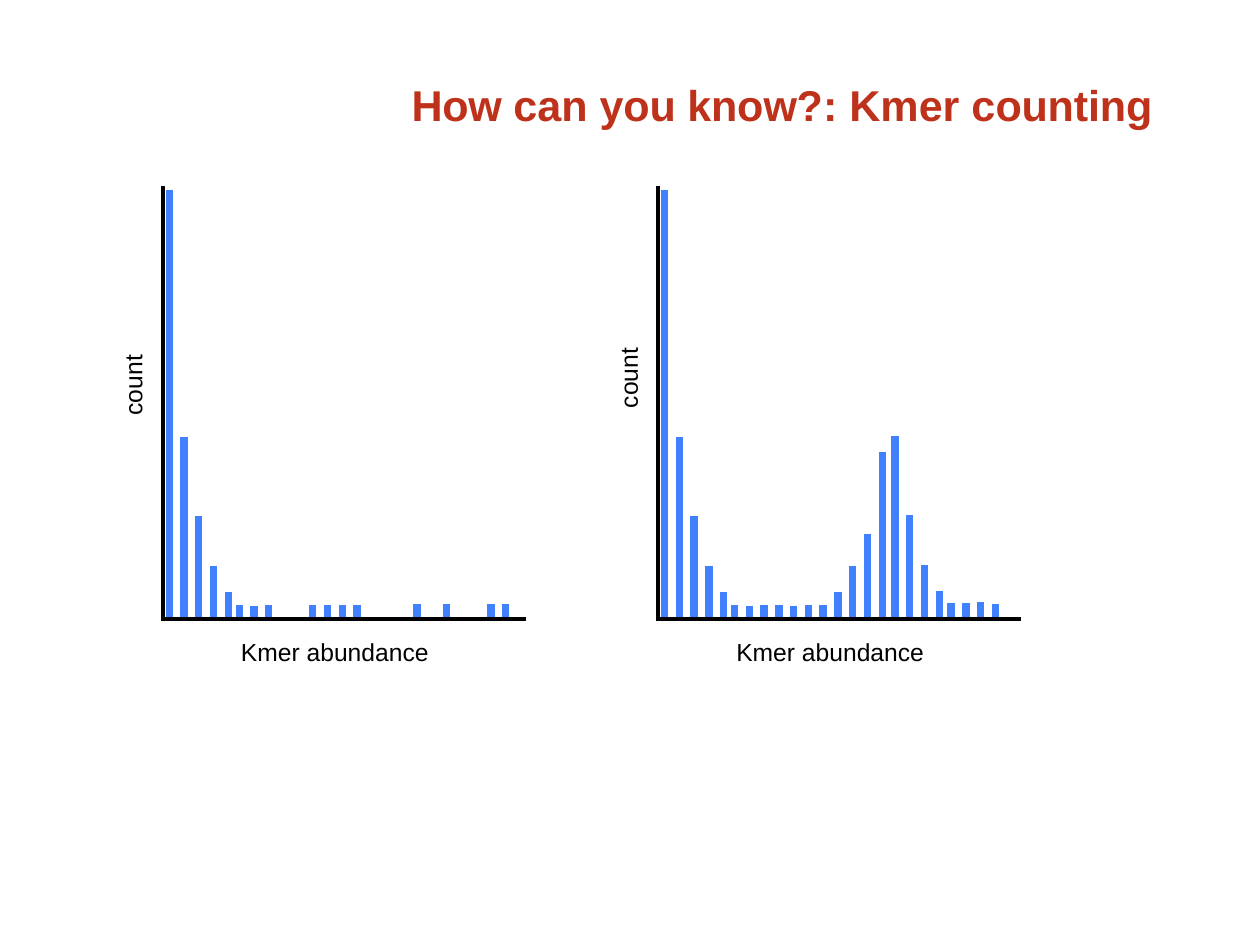
from dataclasses import dataclass

import pptx
import pptx.dml.color
import pptx.enum.shapes
import pptx.enum.text
import pptx.oxml
import pptx.oxml.ns
import pptx.util

CELL = 1 / 6  # inches; one column is the step from bar to bar, rows are as tall
BLUE, BLACK, RED = "4180FF", "000000", "BE311A"
BASE_ROW, TOP_ROW, AXIS_COLUMNS = 41.94, 12.6, 24.58
ALIGN = pptx.enum.text.PP_ALIGN


@dataclass(frozen=True)
class BarRun:
    """Bars one column apart; start counts columns from the vertical axis."""
    start: float
    heights: tuple[float, ...]


@dataclass(frozen=True)
class Histogram:
    axis_column: float
    count_row: float
    runs: tuple[BarRun, ...]


@dataclass(frozen=True)
class Span:
    text: str
    spacing: float = 0


@dataclass(frozen=True)
class Label:
    column: float
    row: float
    columns: float
    rows: float
    spans: tuple[Span, ...]
    size: float = 20
    color: str = BLACK
    bold: bool = False
    align: ALIGN = ALIGN.LEFT
    indent: float = 0.06
    vertical: bool = False


ERROR_SLOPE = BarRun(0.42, (29.1, 12.36, 6.96, 3.6, 1.86))
HISTOGRAMS = (
    Histogram(11.04, 23.94, (
        ERROR_SLOPE,
        BarRun(5.16, (0.96, 0.9, 0.96)),
        BarRun(10.14, (0.96,) * 4),
        BarRun(17.2, (1.02,)),
        BarRun(19.2, (1.02,)),
        BarRun(22.2, (1.02, 1.02)),
    )),
    Histogram(44.58, 23.46, (
        ERROR_SLOPE,
        BarRun(5.16, (0.96, 0.9, 0.96, 0.96, 0.9, 0.96, 0.96)),
        BarRun(12.16, (1.86, 3.6, 5.76, 11.34)),
        BarRun(16.02, (12.42, 7.02, 3.66, 1.92)),
        BarRun(19.83, (1.08, 1.08, 1.14, 1.02)),
    )),
)
TITLE = Label(
    7.14, 5.34, 71.04, 3.06,
    (Span("How ", -0.3), Span("can "), Span("you kno", -0.2), Span("w?", -0.3),
     Span(": Kmer c"), Span("oun", -0.3), Span("t", -0.1), Span("ing", -0.2)),
    size=35, color=RED, bold=True, align=ALIGN.CENTER, indent=20.58,
)


def cells(count: float) -> pptx.util.Length:
    return pptx.util.Inches(count * CELL)


def rgb(color: str) -> pptx.dml.color.RGBColor:
    return pptx.dml.color.RGBColor.from_string(color)


def draw_line(page, start: tuple[float, float], end: tuple[float, float],
              color: str, width: float) -> None:
    line = page.shapes.add_connector(
        pptx.enum.shapes.MSO_CONNECTOR.STRAIGHT,
        *(cells(value) for value in start + end))
    line.line.color.rgb = rgb(color)
    line.line.width = pptx.util.Pt(width)
    properties = line._element.spPr
    properties.append(pptx.oxml.parse_xml(
        f"<a:effectLst {pptx.oxml.ns.nsdecls('a')}/>"))


def draw_label(page, label: Label) -> None:
    box = page.shapes.add_textbox(
        cells(label.column), cells(label.row), cells(label.columns), cells(label.rows))
    frame = box.text_frame
    frame.word_wrap = True
    frame.margin_left = frame.margin_top = frame.margin_right = frame.margin_bottom = 0
    if label.vertical:
        frame._txBody.bodyPr.set("vert", "vert270")
    para = frame.paragraphs[0]
    para.alignment = label.align
    para._p.get_or_add_pPr().set("marL", str(cells(label.indent)))
    for span in label.spans:
        run = para.add_run()
        run.text = span.text
        run.font.name = "Arial"
        run.font.size = pptx.util.Pt(label.size)
        run.font.bold = label.bold
        run.font.color.rgb = rgb(label.color)
        if span.spacing:
            run.font._element.set("spc", str(round(span.spacing * 100)))


def draw_histogram(page, histogram: Histogram) -> None:
    axis = histogram.axis_column
    for bars in histogram.runs:
        for step, height in enumerate(bars.heights):
            column = axis + bars.start + step
            draw_line(page, (column, BASE_ROW - height), (column, BASE_ROW), BLUE, 6)
    draw_line(page, (axis, BASE_ROW), (axis + AXIS_COLUMNS, BASE_ROW), BLACK, 3)
    draw_line(page, (axis, TOP_ROW), (axis, BASE_ROW + 0.1), BLACK, 3)
    draw_label(page, Label(axis + 5.22, 43.14, 12.84, 1.86, (Span("Kmer abundance"),)))
    draw_label(page, Label(axis - 3.06, histogram.count_row, 1.86, 4.26,
                           (Span("count"),), vertical=True))


def main() -> None:
    deck = pptx.Presentation()
    deck.slide_width = pptx.util.Inches(14.22)
    deck.slide_height = pptx.util.Inches(10.67)
    page = deck.slides.add_slide(deck.slide_layouts[6])
    draw_label(page, TITLE)
    for histogram in HISTOGRAMS:
        draw_histogram(page, histogram)
    deck.save("out.pptx")


if __name__ == "__main__":
    main()
